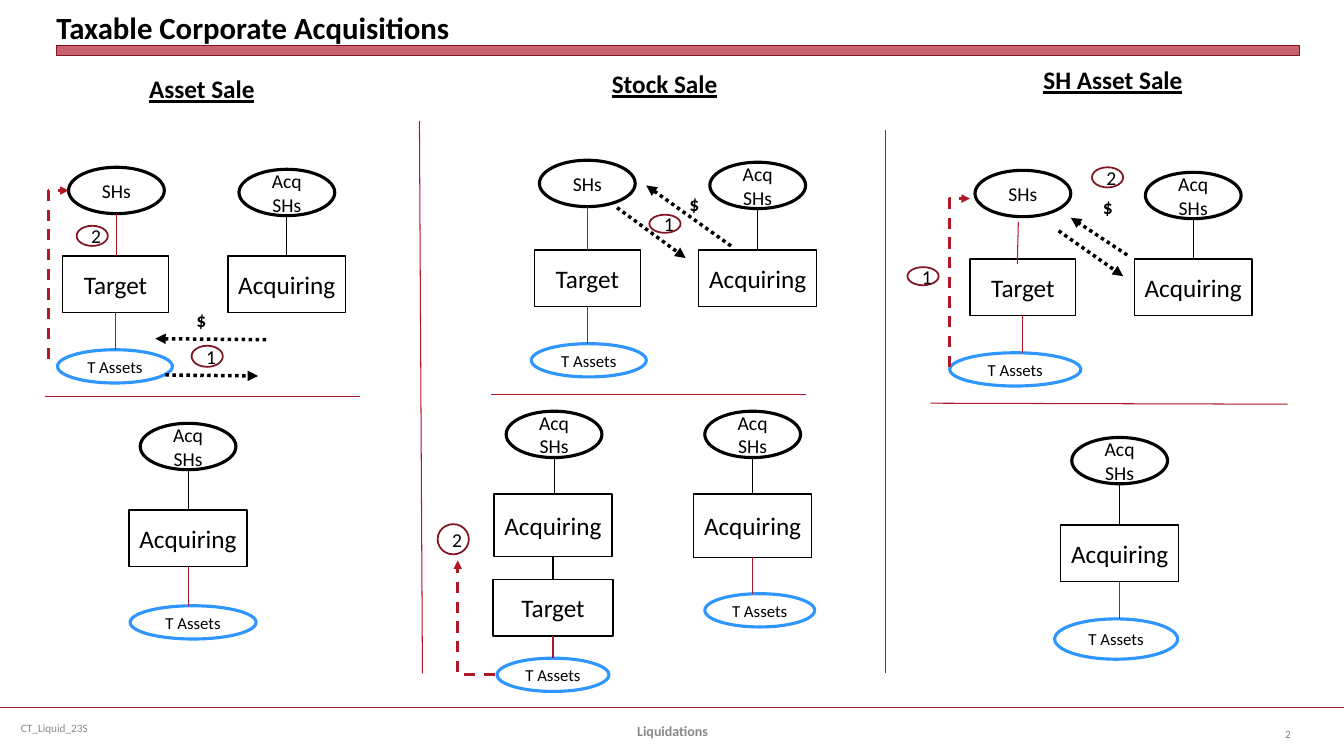
import pptx
import pptx.dml.color
import pptx.enum.dml
import pptx.enum.shapes
import pptx.enum.text
import pptx.oxml.ns
import pptx.util
from lxml import etree

Inches, Pt = pptx.util.Inches, pptx.util.Pt
SHAPE = pptx.enum.shapes.MSO_SHAPE
DASH = pptx.enum.dml.MSO_LINE
ALIGN = pptx.enum.text.PP_ALIGN
ANCHOR = pptx.enum.text.MSO_ANCHOR

COLORS = {"black": "000000", "white": "FFFFFF", "red": "B0182A", "bar": "B01C2E",
          "dark red": "821522", "blue": "3096FF", "footer": "898989", "number": "808080"}

# kind: label, outline, width, height, text size, line colour, line width
NODE_KINDS = {
    "target": ("Target", SHAPE.RECTANGLE, 1.05, 0.56, 18, "black", 1),
    "acquiring": ("Acquiring", SHAPE.RECTANGLE, 1.17, 0.56, 18, "black", 1),
    "holders": ("SHs", SHAPE.OVAL, 0.95, 0.46, 14, "black", 2.25),
    "buyers": ("Acq SHs", SHAPE.OVAL, 0.95, 0.46, 14, "black", 2.25),
    "assets": ("T Assets", SHAPE.OVAL, 1.14, 0.33, 12, "blue", 2.25),
}

# Ownership chains from top to bottom: kind, left, top, then width and height if unusual
CHAINS = [
    # Asset Sale
    [("holders", 0.68, 1.66), ("target", 0.62, 2.54), ("assets", 0.57, 3.47)],
    [("buyers", 2.37, 1.68), ("acquiring", 2.26, 2.54)],
    [("buyers", 1.39, 4.2), ("acquiring", 1.28, 5.06), ("assets", 1.29, 6.01, 1.25, 0.33)],
    # Stock Sale
    [("holders", 5.35, 1.59), ("target", 5.3, 2.48), ("assets", 5.27, 3.41)],
    [("buyers", 7.04, 1.61), ("acquiring", 6.93, 2.48)],
    [("buyers", 5.02, 4.08), ("acquiring", 4.9, 4.9, 1.17, 0.62),
     ("target", 4.89, 5.75, 1.19, 0.56), ("assets", 4.93, 6.53, 1.11, 0.33)],
    [("buyers", 6.99, 4.08), ("acquiring", 6.88, 4.9, 1.17, 0.63),
     ("assets", 6.99, 5.89, 1.09, 0.33)],
    # SH Asset Sale
    [("holders", 9.67, 1.69)],
    [("target", 9.62, 2.57), ("assets", 9.42, 3.5, 1.3, 0.33)],
    [("buyers", 11.36, 1.71), ("acquiring", 11.25, 2.57)],
    [("buyers", 10.63, 4.34), ("acquiring", 10.52, 5.21), ("assets", 10.46, 6.14, 1.22, 0.4)],
]

DIVIDERS = [((4.16, 1.2), (4.19, 6.68)), ((8.78, 1.29), (8.78, 6.68)),
            ((0.45, 3.93), (3.57, 3.93)), ((4.87, 3.91), (7.99, 3.91)),
            ((9.23, 4), (12.77, 4.01))]
OFFSET_LINK = ((10.1, 2.2), (10.09, 2.62))
EXCHANGES = [((2.64, 3.37), (1.54, 3.36)), ((1.64, 3.72), (2.56, 3.73)),
             ((6.12, 2.06), (6.8, 2.56)), ((7.25, 2.44), (6.41, 1.84)),
             ((10.5, 2.29), (11.14, 2.74)), ((11.18, 2.53), (10.62, 2.16))]
DISTRIBUTIONS = [[(0.48, 3.56), (0.48, 1.89), (0.68, 1.89)],
                 [(4.91, 6.69), (4.54, 6.69), (4.54, 5.56)],
                 [(9.42, 3.64), (9.42, 1.97), (9.62, 1.97)]]
# number, left, top, height
STEPS = [("1", 1.9, 3.43, 0.21), ("2", 0.76, 2.24, 0.2), ("1", 6.44, 2.13, 0.18),
         ("2", 4.34, 5.2, 0.3), ("2", 10.83, 1.66, 0.2), ("1", 9, 2.65, 0.18)]
STEP_WIDTH = 0.31
DOLLARS = [(1.85, 3.01), (6.74, 1.85), (10.84, 1.88)]
HEADINGS = [("Asset Sale", 1.38, 0.68, 1.26), ("Stock Sale", 5.97, 0.63, 1.26),
            ("SH Asset Sale", 10.25, 0.59, 1.59)]

deck = pptx.Presentation()
deck.slide_width, deck.slide_height = Inches(13.33), Inches(7.5)
page = deck.slides.add_slide(deck.slide_layouts[6])


def rgb(name):
    return pptx.dml.color.RGBColor.from_string(COLORS[name])


def write(shape, text, size, color="black", align=ALIGN.CENTER, bold=False):
    para = shape.text_frame.paragraphs[0]
    para.text = text
    para.alignment = align
    font = para.font
    font.name, font.size, font.bold = "Calibri", Pt(size), bold
    font.color.rgb = rgb(color)


def add_text(text, area, size, color="black", align=ALIGN.LEFT, bold=False, anchor=ANCHOR.MIDDLE):
    box = page.shapes.add_textbox(*map(Inches, area))
    box.text_frame.word_wrap = True
    box.text_frame.vertical_anchor = anchor
    write(box, text, size, color, align, bold)
    return box


def add_label(text, area, size):
    """Add a bold label that fits its text on one line."""
    box = add_text(text, area, size, bold=True, anchor=ANCHOR.TOP)
    box.text_frame.word_wrap = False
    box.text_frame.auto_size = pptx.enum.text.MSO_AUTO_SIZE.SHAPE_TO_FIT_TEXT
    return box


def add_outline(kind, area, line_color, line_width, fill=None):
    shape = page.shapes.add_shape(kind, *map(Inches, area))
    shape.shadow.inherit = False
    if fill:
        shape.fill.solid()
        shape.fill.fore_color.rgb = rgb(fill)
    else:
        shape.fill.background()
    shape.line.color.rgb = rgb(line_color)
    shape.line.width = Pt(line_width)
    shape.text_frame.vertical_anchor = ANCHOR.MIDDLE
    return shape


def style_line(shape, color, width, dash=None, arrow=False):
    shape.line.color.rgb = rgb(color)
    shape.line.width = Pt(width)
    if dash:
        shape.line.dash_style = dash
    if arrow:
        stroke = shape.element.spPr.find(pptx.oxml.ns.qn("a:ln"))
        etree.SubElement(stroke, pptx.oxml.ns.qn("a:tailEnd"), type="triangle")


def add_line(start, end, *style):
    link = page.shapes.add_connector(pptx.enum.shapes.MSO_CONNECTOR.STRAIGHT,
                                     *map(Inches, start + end))
    style_line(link, *style)
    etree.SubElement(link.element.spPr, pptx.oxml.ns.qn("a:effectLst"))


def add_bent_arrow(points):
    first, *rest = [tuple(map(Inches, point)) for point in points]
    builder = page.shapes.build_freeform(*first)
    builder.add_line_segments(rest, close=False)
    arrow = builder.convert_to_shape()
    arrow.shadow.inherit = False
    arrow.fill.background()
    style_line(arrow, "red", 2, DASH.DASH, True)


def add_chain(nodes):
    """Stack the nodes and join each one to the node above it."""
    above = None
    for kind, left, top, *dimensions in nodes:
        label, outline, width, height, size, color, weight = NODE_KINDS[kind]
        if dimensions:
            width, height = dimensions
        write(add_outline(outline, (left, top, width, height), color, weight), label, size)
        if above:
            above_kind, center, bottom = above
            red = kind == "assets" or above_kind == "holders"
            add_line((center, bottom), (center, top), "red" if red else "black", 0.75)
        above = (kind, left + width / 2, top + height)


# Frame of the page
add_line((0, 7.02), (13.33, 7.02), "bar", 1.25)
bar = add_outline(SHAPE.RECTANGLE, (0.56, 0.45, 12.33, 0.1), "dark red", 0, "bar")
bar_color = bar.element.spPr.find(".//" + pptx.oxml.ns.qn("a:srgbClr"))
etree.SubElement(bar_color, pptx.oxml.ns.qn("a:alpha"), val="69000")
title = add_text("Taxable Corporate Acquisitions", (0.56, 0.05, 12.33, 0.4), 22,
                 bold=True, anchor=ANCHOR.BOTTOM).text_frame
title.margin_left = title.margin_right = title.margin_top = title.margin_bottom = 0
add_text("CT_Liquid_23S", (0.11, 7.02, 3.44, 0.4), 8, "footer")
add_text("Liquidations", (4.56, 7.05, 4.22, 0.4), 10, "footer", ALIGN.CENTER, True)
add_text("2", (12.23, 7.08, 0.67, 0.4), 8, "number", ALIGN.RIGHT)

# Diagrams
for chain in CHAINS:
    add_chain(chain)
for start, end in DIVIDERS + [OFFSET_LINK]:
    add_line(start, end, "red", 0.75)
for start, end in EXCHANGES:
    add_line(start, end, "black", 2.5, DASH.ROUND_DOT, True)
for points in DISTRIBUTIONS:
    add_bent_arrow(points)
for number, left, top, height in STEPS:
    write(add_outline(SHAPE.OVAL, (left, top, STEP_WIDTH, height), "dark red", 1.25, "white"),
          number, 14)
for left, top in DOLLARS:
    add_label("$", (left, top, 0.3, 0.34), 14)
for text, left, top, width in HEADINGS:
    heading = add_label(text, (left, top, width, 0.4), 18)
    heading.text_frame.paragraphs[0].font.underline = True

deck.save("out.pptx")
